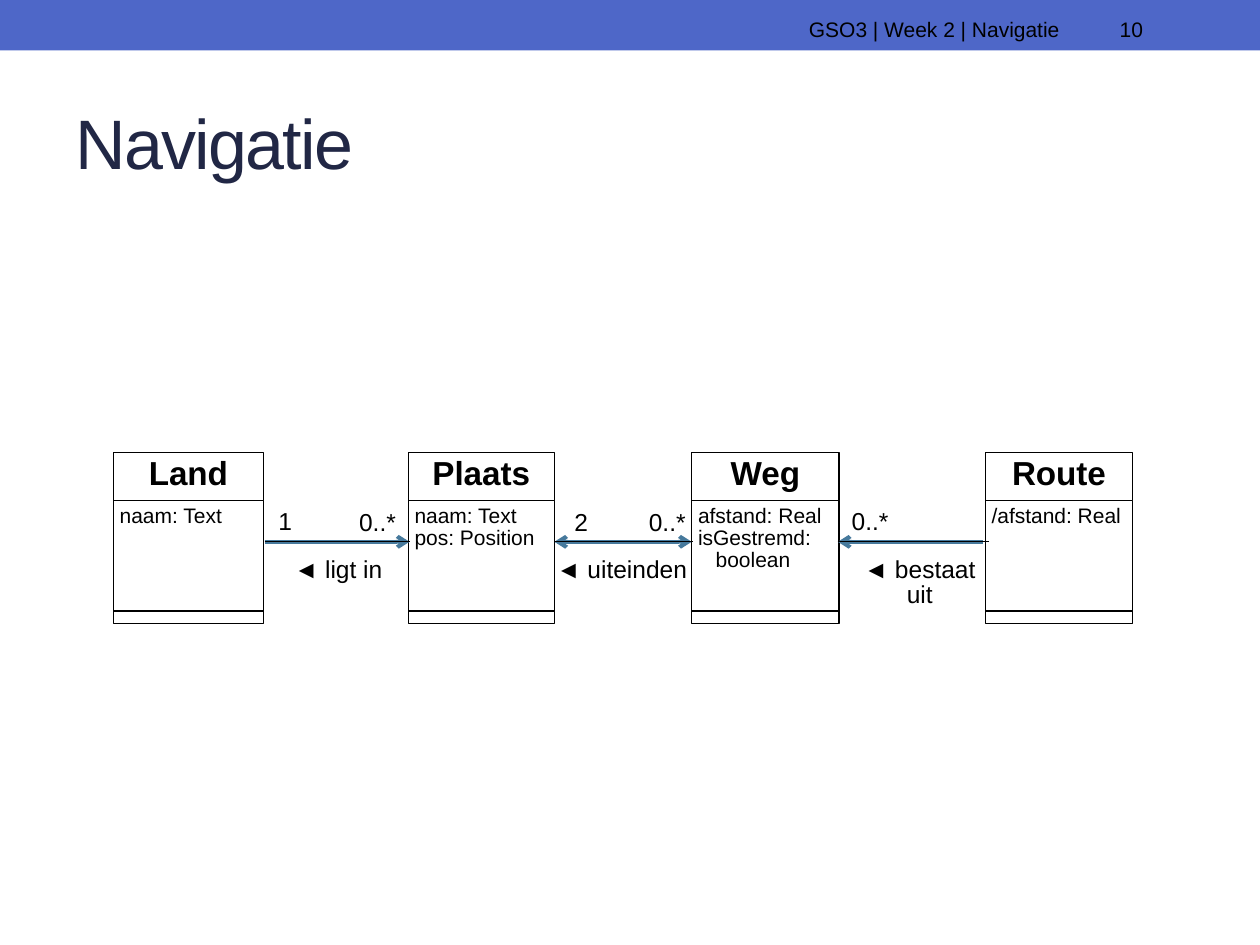
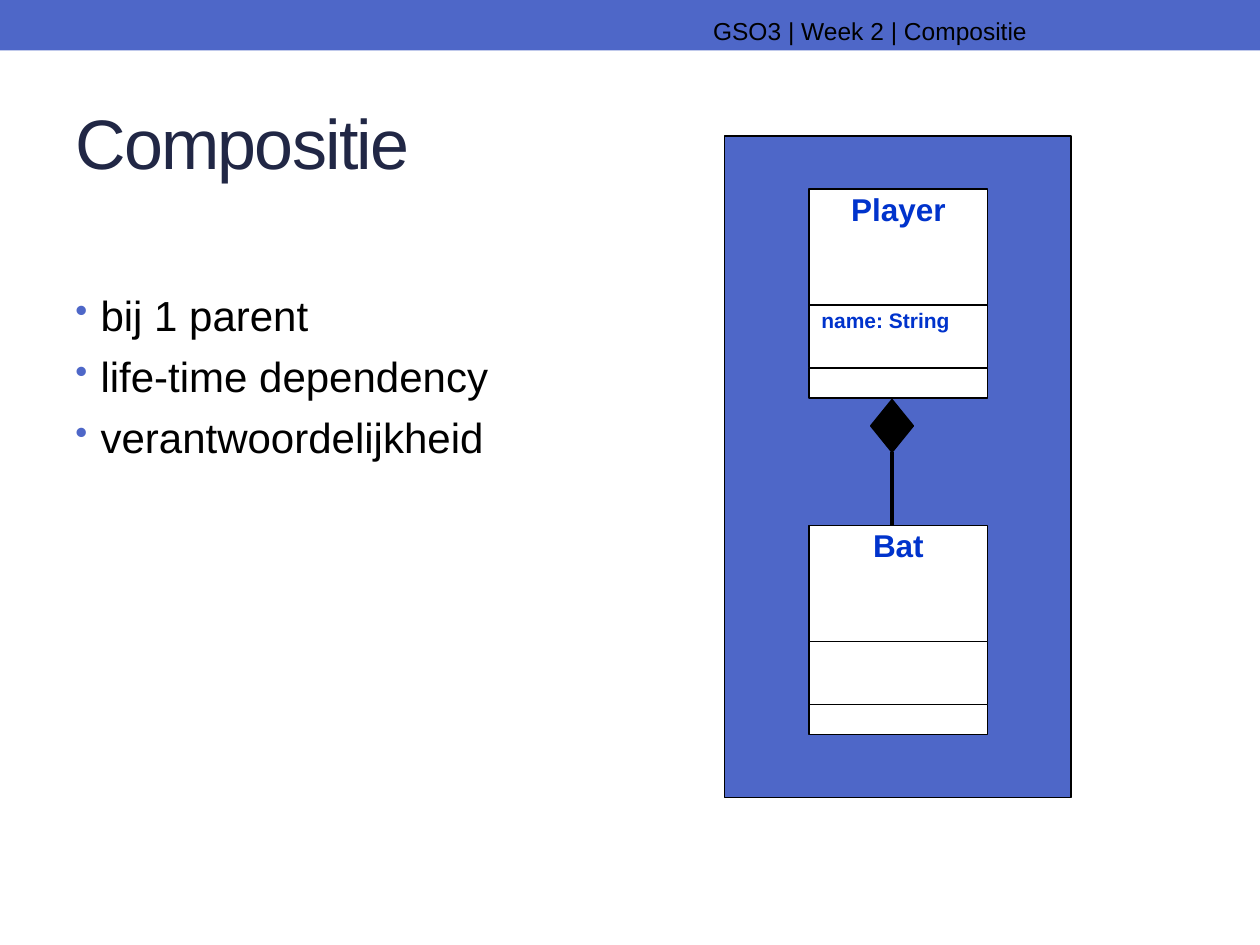
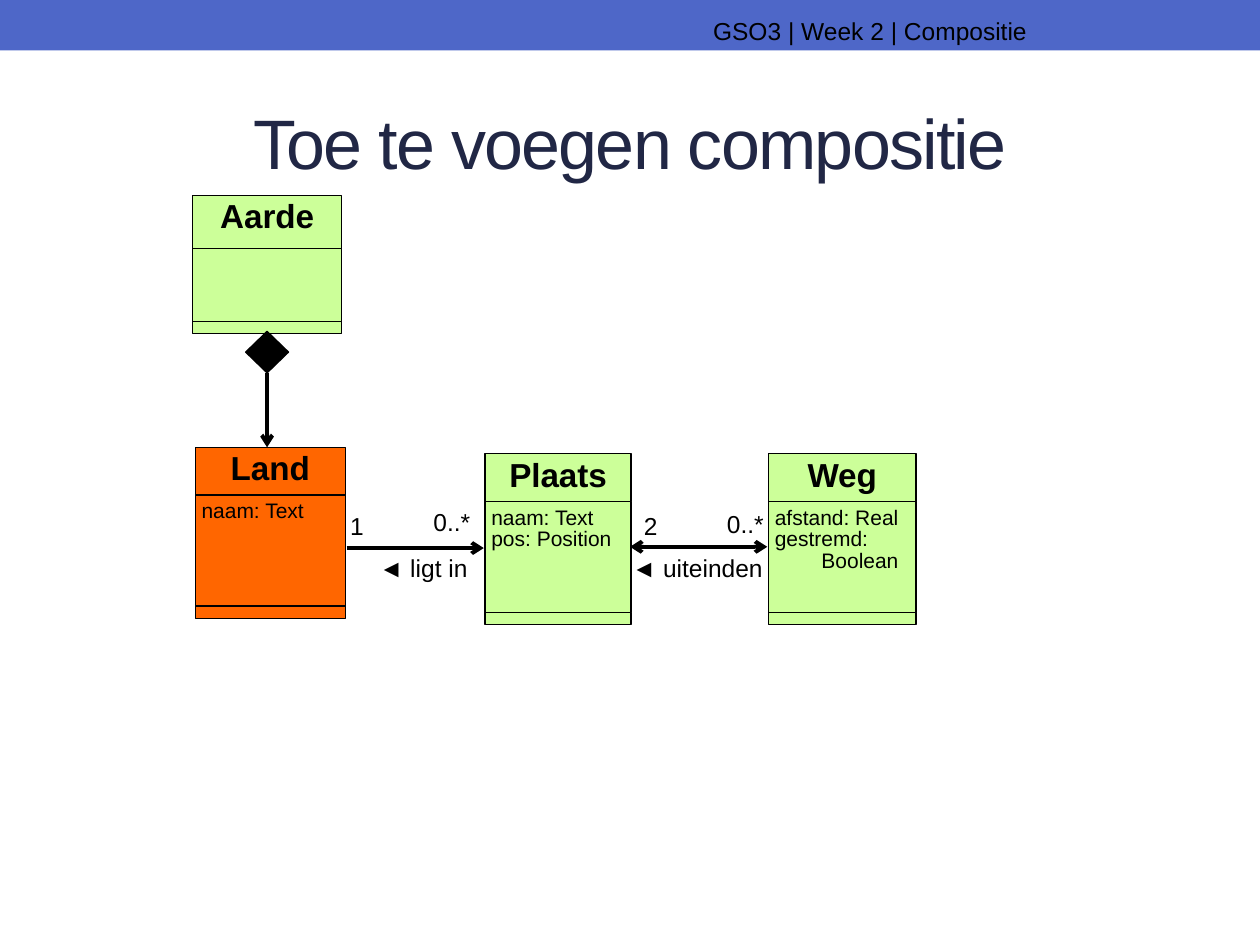
import pptx
import pptx.util
import pptx.dml.color
import pptx.enum.shapes
import pptx.enum.text
import pptx.oxml
import pptx.oxml.ns

Inches = pptx.util.Inches
Pt = pptx.util.Pt
rgb = pptx.dml.color.RGBColor.from_string
qn = pptx.oxml.ns.qn
SHAPE = pptx.enum.shapes.MSO_SHAPE
ANCHOR = pptx.enum.text.MSO_ANCHOR
ALIGN = pptx.enum.text.PP_ALIGN
LEFT, CENTER, RIGHT = ALIGN.LEFT, ALIGN.CENTER, ALIGN.RIGHT

# Shared colours
BLUE, NAVY, BLACK, WHITE = "4E67C8", "212745", "000000", "FFFFFF"
STEEL, INK, GREEN, ORANGE = "46799C", "0033CC", "CCFF99", "FF6600"


def add_text(s, text, x, y, w, h, shape=None, fill=None, line=None, size=14,
             color=BLACK, bold=False, align=LEFT, anchor=ANCHOR.TOP,
             inset=(0.1, 0.05, 0.1, 0.05), spacing=None, after=0, last_indent=0):
    """Add a text box, or a filled shape when a preset is given."""
    box = [Inches(v) for v in (x, y, w, h)]
    if shape is None:
        sp = s.shapes.add_textbox(*box)
    else:
        sp = s.shapes.add_shape(shape, *box)
        sp.shadow.inherit = False
        sp.fill.solid()
        sp.fill.fore_color.rgb = rgb(fill)
        if line:
            sp.line.color.rgb = rgb(line)
            sp.line.width = Pt(0.75)
        else:
            sp.line.fill.background()
    tf = sp.text_frame
    tf.word_wrap = True
    tf.vertical_anchor = anchor
    tf.margin_left, tf.margin_top, tf.margin_right, tf.margin_bottom = map(Inches, inset)
    if not text:
        return sp
    tf.text = text
    for p in tf.paragraphs:
        p.alignment = align
        p.line_spacing = spacing
        p.space_after = Pt(after)
        r = p.runs[0]
        r.font.name = "Arial"
        r.font.size = Pt(size)
        r.font.bold = bold
        r.font.color.rgb = rgb(color)
    if last_indent:
        p._p.get_or_add_pPr().set("marL", str(Inches(last_indent)))
    return sp


def add_line(s, x1, y1, x2, y2, color=BLACK, width=2.25, ends=()):
    """Add a straight line with open arrows at the given ends."""
    c = s.shapes.add_connector(pptx.enum.shapes.MSO_CONNECTOR.STRAIGHT,
                               Inches(x1), Inches(y1), Inches(x2), Inches(y2))
    c.line.color.rgb = rgb(color)
    c.line.width = Pt(width)
    for end in ends:
        c.line._get_or_add_ln().append(pptx.oxml.parse_xml(
            f'<a:{end} {pptx.oxml.ns.nsdecls("a")} type="arrow"/>'))
    c._element.spPr.append(pptx.oxml.parse_xml(
        f'<a:effectLst {pptx.oxml.ns.nsdecls("a")}/>'))
    return c


# Class box formats
MARGIN = (0.05,) * 4
PLAIN = (dict(size=19, bold=True, inset=MARGIN), dict(size=12, inset=MARGIN))
INKED = (dict(size=18, bold=True, color=INK, inset=(0, 0.05, 0, 0)),
         dict(size=12, bold=True, color=INK, inset=(0.1, 0.05, 0, 0)))
ROWS = (0.38, 0.88, 0.1)
TALL = (0.92, 0.5, 0.24)
ONE_WAY, BOTH_WAYS = ("tailEnd",), ("headEnd", "tailEnd")

# classes: name, left, top, width, row heights, fill, attributes, last indent
# lines: from, to, colour, width, arrow ends
# labels: text, left, top, width, alignment
# compositions: diamond left, top, width, height, line end, arrow ends
slides = [
    dict(title="Navigatie", align=LEFT, header=("Navigatie", 8.01, 12), number="10",
         styles=PLAIN,
         classes=[
             ("Land", 0.9, 3.59, 1.19, ROWS, WHITE, "naam: Text", 0),
             ("Plaats", 3.24, 3.59, 1.16, ROWS, WHITE, "naam: Text\npos: Position", 0),
             ("Weg", 5.49, 3.59, 1.17, ROWS, WHITE,
              "afstand: Real\nisGestremd:\nboolean", 0.14),
             ("Route", 7.82, 3.59, 1.17, ROWS, WHITE, "/afstand: Real", 0)],
         lines=[
             (2.1, 4.3, 3.25, 4.3, STEEL, 2.25, ONE_WAY),
             (4.4, 4.3, 5.49, 4.3, STEEL, 2.25, BOTH_WAYS),
             (7.8, 4.3, 6.65, 4.3, STEEL, 2.25, ONE_WAY),
             (2.1, 4.3, 3.25, 4.3, BLACK, 0.75),
             (4.4, 4.3, 5.5, 4.3, BLACK, 0.75),
             (6.65, 4.3, 7.85, 4.3, BLACK, 0.75)],
         labels=[
             ("1", 2.21, 4.05, 0.2, LEFT), ("0..*", 2.85, 4.06, 0.35, LEFT),
             ("2", 4.56, 4.06, 0.2, LEFT), ("0..*", 5.15, 4.06, 0.33, LEFT),
             ("0..*", 6.76, 4.05, 0.4, LEFT),
             ("◄ ligt in", 2.15, 4.43, 1.07, CENTER),
             ("◄ uiteinden", 4.4, 4.43, 1.07, CENTER),
             ("◄ bestaat uit", 6.82, 4.43, 0.96, CENTER)]),
    dict(title="Compositie", align=LEFT, header=("Compositie", 7.75, 14),
         styles=INKED,
         bullets="bij 1 parent\nlife-time dependency\nverantwoordelijkheid",
         panel=(5.75, 1.08, 2.75, 5.25),
         classes=[
             ("Player", 6.42, 1.5, 1.42, TALL, WHITE, "name: String", 0),
             ("Bat", 6.42, 4.17, 1.42, TALL, WHITE, "", 0)],
         compositions=[(6.91, 3.17, 0.34, 0.42, 4.17, ())]),
    dict(title="Toe te voegen compositie", align=CENTER, header=("Compositie", 7.75, 14),
         styles=PLAIN,
         classes=[
             ("Aarde", 1.53, 1.55, 1.18, (0.42, 0.58, 0.1), GREEN, "", 0),
             ("Land", 1.55, 3.55, 1.19, ROWS, ORANGE, "naam: Text", 0),
             ("Plaats", 3.85, 3.6, 1.16, ROWS, GREEN, "naam: Text\npos: Position", 0),
             ("Weg", 6.1, 3.6, 1.17, ROWS, GREEN,
              "afstand: Real\ngestremd:\nBoolean", 0.37)],
         compositions=[(1.95, 2.63, 0.34, 0.33, 3.55, ONE_WAY)],
         lines=[
             (2.75, 4.35, 3.84, 4.35, BLACK, 2.25, ONE_WAY),
             (5, 4.34, 6.09, 4.34, BLACK, 2.25, BOTH_WAYS)],
         labels=[
             ("1", 2.78, 4.09, 0.2, LEFT), ("0..*", 3.44, 4.06, 0.35, LEFT),
             ("2", 5.11, 4.09, 0.2, LEFT), ("0..*", 5.77, 4.07, 0.33, LEFT),
             ("◄ ligt in", 2.9, 4.42, 0.92, CENTER),
             ("◄ uiteinden", 5, 4.42, 1.07, CENTER)]),
]

prs = pptx.Presentation()
prs.slide_width, prs.slide_height = Inches(10), Inches(7.5)

for d in slides:
    s = prs.slides.add_slide(prs.slide_layouts[6])

    # Band, header and title
    add_text(s, "", 0, 0, 10, 0.4, shape=SHAPE.RECTANGLE, fill=BLUE)
    topic, width, size = d["header"]
    add_text(s, f"GSO3 | Week 2 | {topic}", 0.5, 0.08, width, 0.25, size=size, align=RIGHT)
    if "number" in d:
        add_text(s, d["number"], 8.62, 0.08, 0.55, 0.25, size=12, align=RIGHT)
    sp = add_text(s, d["title"], 0.5, 0.58, 9, 1.08, size=40, color=NAVY,
                  align=d["align"], anchor=ANCHOR.MIDDLE)
    sp.text_frame.paragraphs[0].runs[0].font._element.set("spc", "-100")

    # Bullets
    if "bullets" in d:
        sp = add_text(s, d["bullets"], 0.5, 2.25, 5, 1.6, size=24, after=6)
        for p in sp.text_frame.paragraphs:
            pPr = p._p.get_or_add_pPr()
            pPr.set("marL", str(Inches(0.2)))
            pPr.set("indent", str(Inches(-0.2)))
            clr = pPr.makeelement(qn("a:buClr"), {})
            clr.append(clr.makeelement(qn("a:srgbClr"), {"val": BLUE}))
            pPr.append(clr)
            pPr.append(pPr.makeelement(qn("a:buSzPct"), {"val": "85000"}))
            pPr.append(pPr.makeelement(qn("a:buChar"), {"char": "•"}))

    # Background panel
    if "panel" in d:
        add_text(s, "", *d["panel"], shape=SHAPE.RECTANGLE, fill=BLUE, line=BLACK)

    # Classes: name, attributes and operations stacked
    name_style, attr_style = d["styles"]
    for name, x, y, w, rows, fill, attrs, indent in d["classes"]:
        parts = ((name, dict(name_style, align=CENTER)),
                 (attrs, dict(attr_style, last_indent=indent)), ("", {}))
        for (text, style), h in zip(parts, rows):
            add_text(s, text, x, y, w, h, shape=SHAPE.RECTANGLE, fill=fill,
                     line=BLACK, spacing=0.86, **style)
            y += h

    # Compositions: diamond with a line down to the part
    for x, y, w, h, end_y, ends in d.get("compositions", []):
        sp = add_text(s, "", x, y, w, h, shape=SHAPE.DIAMOND, fill=BLACK, line=BLACK)
        c = add_line(s, x + w / 2, y + h, x + w / 2, end_y, ends=ends)
        c.begin_connect(sp, 2)

    # Associations and their labels
    for line in d.get("lines", []):
        add_line(s, *line)
    for text, x, y, w, align in d.get("labels", []):
        add_text(s, text, x, y, w, 0.25, align=align, inset=(0,) * 4, spacing=0.86)

prs.save("out.pptx")
